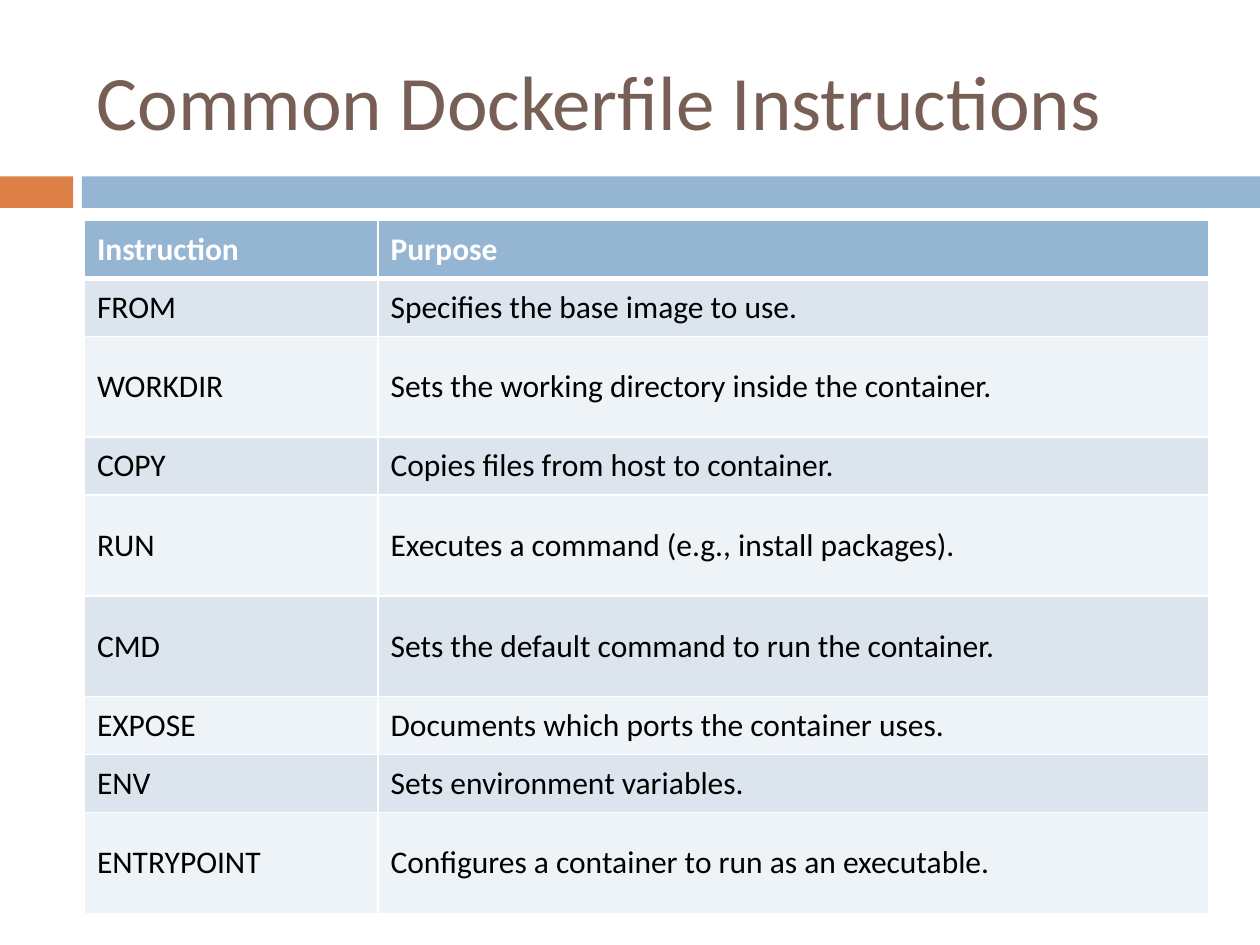
from lxml.etree import SubElement
from pptx import Presentation
from pptx.dml.color import RGBColor
from pptx.enum.shapes import MSO_SHAPE
from pptx.enum.text import MSO_ANCHOR
from pptx.oxml.ns import qn
from pptx.util import Inches, Pt

BLUE, ORANGE, BROWN = "94B6D2", "DD8047", "775F55"
WHITE, BLACK = "FFFFFF", "000000"
BANDS = ["EEF3F7", "DCE5EE"]


def paint(target, color):
    if hasattr(target, "solid"):
        target.solid()
        target = target.fore_color
    target.rgb = RGBColor.from_string(color)


def write(text_frame, text, size, color, bold=False):
    run = text_frame.paragraphs[0].add_run()
    run.text = text
    run.font.name = "Calibri"
    run.font.size = Pt(size)
    run.font.bold = bold
    paint(run.font.color, color)


presentation = Presentation()
presentation.slide_width = Inches(10)
presentation.slide_height = Inches(7.5)
slide = presentation.slides.add_slide(presentation.slide_layouts[6])

left, content_width = Inches(0.67), Inches(8.92)

for bar_left, bar_width, color in [(0, 0.58, ORANGE), (0.65, 9.35, BLUE)]:
    bar = slide.shapes.add_shape(
        MSO_SHAPE.RECTANGLE, Inches(bar_left), Inches(1.4), Inches(bar_width), Inches(0.25))
    bar.shadow.inherit = False
    paint(bar.fill, color)
    bar.line.fill.background()

title = slide.shapes.add_textbox(left, Inches(0.25), content_width, Inches(1.08))
title.text_frame.word_wrap = True
title.text_frame.vertical_anchor = MSO_ANCHOR.MIDDLE
write(title.text_frame, "Common Dockerfile Instructions", 44, BROWN)

short, tall = 0.46, 0.8
instructions = [
    ("Instruction", "Purpose", short),
    ("FROM", "Specifies the base image to use.", short),
    ("WORKDIR", "Sets the working directory inside the container.", tall),
    ("COPY", "Copies files from host to container.", short),
    ("RUN", "Executes a command (e.g., install packages).", tall),
    ("CMD", "Sets the default command to run the container.", tall),
    ("EXPOSE", "Documents which ports the container uses.", short),
    ("ENV", "Sets environment variables.", short),
    ("ENTRYPOINT", "Configures a container to run as an executable.", tall),
]
table = slide.shapes.add_table(
    len(instructions), 2, left, Inches(1.75), content_width, Inches(5.5)).table
table.columns[0].width = Inches(2.33)
table.columns[1].width = Inches(6.59)

for row, (instruction, purpose, height) in enumerate(instructions):
    table.rows[row].height = Inches(height)
    header = row == 0
    widths = {"lnL": 1, "lnR": 1, "lnT": 3 if row == 1 else 1, "lnB": 3 if header else 1}
    for column, text in enumerate([instruction, purpose]):
        cell = table.cell(row, column)
        cell.vertical_anchor = MSO_ANCHOR.MIDDLE
        properties = cell._tc.get_or_add_tcPr()
        for side, width in widths.items():
            border = SubElement(properties, qn(f"a:{side}"), w=str(Pt(width)))
            border_fill = SubElement(border, qn("a:solidFill"))
            SubElement(border_fill, qn("a:srgbClr"), val=WHITE)
        paint(cell.fill, BLUE if header else BANDS[row % 2])
        write(cell.text_frame, text, 18, WHITE if header else BLACK, header)

presentation.save("out.pptx")
